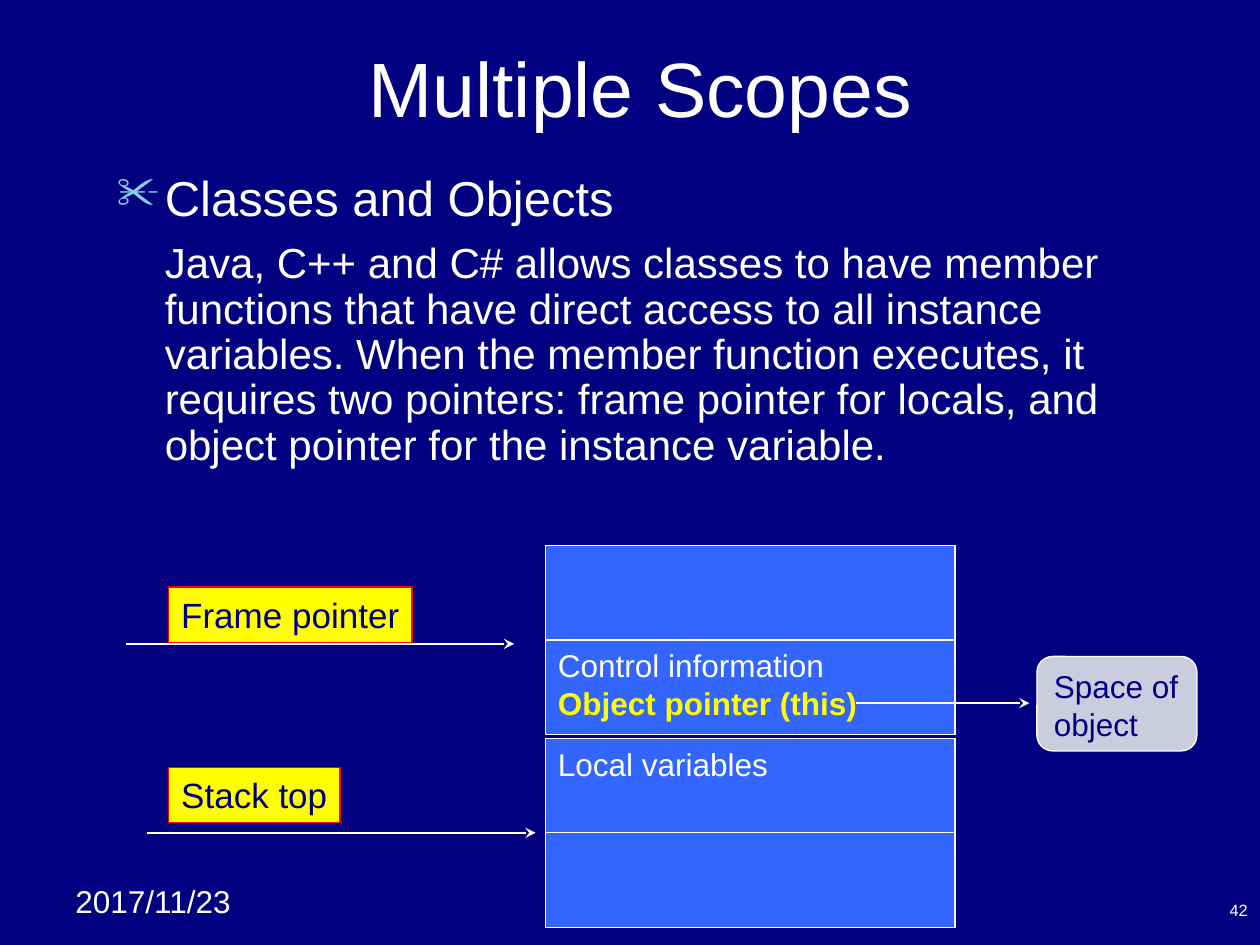
from pptx import Presentation
from pptx.dml.color import RGBColor
from pptx.enum.shapes import MSO_CONNECTOR, MSO_SHAPE
from pptx.enum.text import MSO_ANCHOR, PP_ALIGN
from pptx.oxml.ns import qn
from pptx.util import Inches, Pt
from lxml.etree import SubElement

WHITE, NAVY, BLUE, GOLD = "FFFFFF", "000080", "3366FF", "FFFF00"
LEFT, WIDTH, HIGH = 4.33, 3.25, 0.75  # stack column and height of a row
TOPS = [4.33, 5.08, 5.86, 6.61]


def color(code):
    return RGBColor.from_string(code)


def place(item, box):
    for name, size in zip(("left", "top", "width", "height"), box):
        setattr(item, name, Inches(size))


def write(frame, lines, anchor=MSO_ANCHOR.TOP, wrap=True, **form):
    """Fill a frame with (text, size, colour, bold) lines."""
    frame.word_wrap = wrap
    frame.vertical_anchor = anchor
    form = {"alignment": PP_ALIGN.LEFT} | form
    for num, (text, size, tint, bold) in enumerate(lines):
        para = frame.add_paragraph() if num else frame.paragraphs[0]
        for name, value in form.items():
            setattr(para, name, value)
        run = para.add_run()
        run.text = text
        run.font.color.rgb = color(tint)
        for name, value in {"name": "Arial", "size": Pt(size), "bold": bold}.items():
            setattr(run.font, name, value)


def add_text(slide, box, lines, **form):
    item = slide.shapes.add_textbox(*map(Inches, box))
    write(item.text_frame, lines, **form)
    return item.text_frame


def add_box(slide, box, lines=(), fill=BLUE, edge=WHITE, kind=MSO_SHAPE.RECTANGLE, wrap=True):
    item = slide.shapes.add_shape(kind, *map(Inches, box))
    item.shadow.inherit = False
    item.fill.solid()
    item.fill.fore_color.rgb = color(fill)
    item.line.color.rgb = color(edge)
    item.line.width = Pt(0.75)
    write(item.text_frame, lines, wrap=wrap)


def add_arrow(slide, start, end, y):
    item = slide.shapes.add_connector(
        MSO_CONNECTOR.STRAIGHT, Inches(start), Inches(y), Inches(end), Inches(y))
    item.line.color.rgb = color(WHITE)
    item.line.width = Pt(1.5)
    SubElement(item.line._get_or_add_ln(), qn("a:tailEnd"), type="stealth")
    SubElement(item._element.spPr, qn("a:effectLst"))


def indent(para, left, first, gap):
    props = para._p.get_or_add_pPr()
    props.set("marL", str(Inches(left)))
    props.set("indent", str(Inches(first)))
    para.line_spacing = 0.9
    para.space_before = Pt(gap)
    return props


def add_bullet(props, sign, tint):
    hue = SubElement(props, qn("a:buClr"))
    SubElement(hue, qn("a:srgbClr"), val=tint)
    SubElement(props, qn("a:buSzPct"), val="90000")
    SubElement(props, qn("a:buChar"), char=sign)


def add_body(slide):
    text = ("Java, C++ and C# allows classes to have member functions that have "
            "direct access to all instance variables. When the member function "
            "executes, it requires two pointers: frame pointer for locals, and "
            "object pointer for the instance variable.")
    frame = add_text(slide, (0.83, 1.33, 8.5, 2.6), [
        ("Classes and Objects", 28, WHITE, False), (text, 24, WHITE, False)])
    head, rest = frame.paragraphs
    add_bullet(indent(head, 0.38, -0.38, 7), "✂", "86D1EC")
    indent(rest, 0.38, 0, 9)


def add_stack(slide):
    rows = [
        [],
        [("Control information", 18, WHITE, False),
         ("Object pointer (this)", 18, GOLD, True)],
        [("Local variables", 18, WHITE, False)],
        [],
    ]
    for top, lines in zip(TOPS, rows):
        add_box(slide, (LEFT, top, WIDTH, HIGH), lines)


def add_label(slide, text, top, width):
    add_box(slide, (1.34, top, width, 0.44), [(text, 20, NAVY, False)],
            fill=GOLD, edge="FF0000", wrap=False)


def main():
    deck = Presentation()
    deck.slide_width, deck.slide_height = Inches(10), Inches(7.5)
    slide = deck.slides.add_slide(deck.slide_layouts[5])
    slide.background.fill.solid()
    slide.background.fill.fore_color.rgb = color(NAVY)

    title = slide.shapes.title
    place(title, (0.5, 0.3, 9, 0.78))
    write(title.text_frame, [(" Multiple Scopes", 44, WHITE, False)],
          anchor=MSO_ANCHOR.MIDDLE, alignment=PP_ALIGN.CENTER)
    add_body(slide)
    add_text(slide, (0.5, 6.95, 1.58, 0.4), [("2017/11/23", 18, WHITE, False)])
    add_text(slide, (7.67, 7.08, 2.33, 0.27), [("42", 9.3, WHITE, False)],
             anchor=MSO_ANCHOR.BOTTOM, alignment=PP_ALIGN.RIGHT)

    add_stack(slide)
    add_label(slide, "Frame pointer", 4.66, 1.93)
    add_label(slide, "Stack top", 6.09, 1.36)
    add_box(slide, (8.23, 5.21, 1.27, HIGH), [("Space of object", 18, NAVY, False)],
            fill="CCCCDF", kind=MSO_SHAPE.ROUNDED_RECTANGLE)
    for start, end, y in [(1, 4.08, 5.11), (1.17, 4.25, 6.61), (6.79, 8.17, 5.58)]:
        add_arrow(slide, start, end, y)
    deck.save("out.pptx")


if __name__ == "__main__":
    main()
